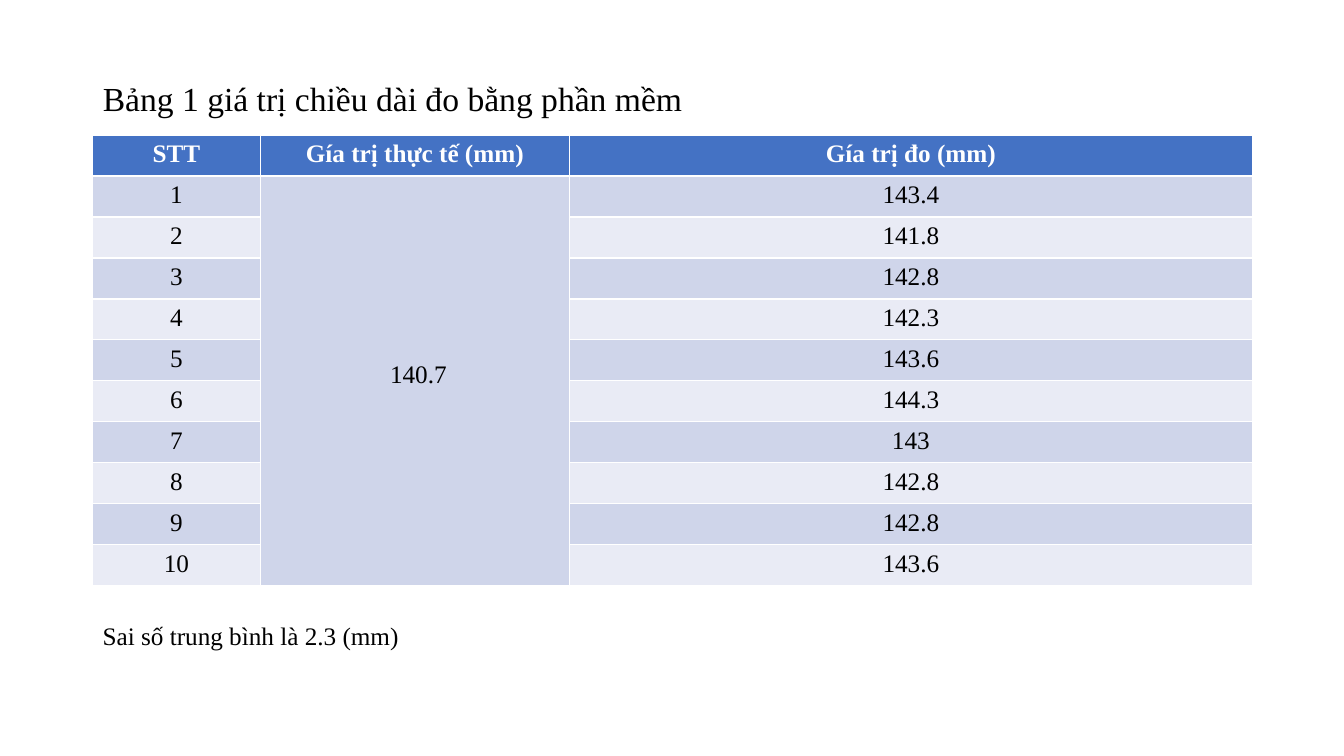
import pptx
import pptx.dml.color
import pptx.enum.text
import pptx.util

Inches = pptx.util.Inches
Pt = pptx.util.Pt
RGBColor = pptx.dml.color.RGBColor
ALIGN = pptx.enum.text.PP_ALIGN
ANCHOR = pptx.enum.text.MSO_ANCHOR

BLACK = RGBColor(0x00, 0x00, 0x00)
WHITE = RGBColor(0xFF, 0xFF, 0xFF)
HEADER_BLUE = RGBColor(0x44, 0x72, 0xC4)
BAND_DARK = RGBColor(0xCF, 0xD5, 0xEA)
BAND_LIGHT = RGBColor(0xE9, 0xEB, 0xF5)

LEFT, WIDTH = 0.92, 11.5
COLUMN_WIDTHS = [1.66, 3.07, 6.77]
HEADERS = ["STT", "Gía trị thực tế (mm)", "Gía trị đo (mm)"]
MEASURED = ["143.4", "141.8", "142.8", "142.3", "143.6",
            "144.3", "143", "142.8", "142.8", "143.6"]


class SlideBuilder:
    font_name = "Times New Roman"
    body_size = 18
    title_size = 24

    def __init__(self, slide):
        self.slide = slide

    def add_span(self, frame, text, size=body_size, color=BLACK, bold=False, align=ALIGN.LEFT):
        para = frame.paragraphs[0]
        para.alignment = align
        span = para.add_run()
        span.text = text
        span.font.name = self.font_name
        span.font.size = Pt(size)
        span.font.bold = bold
        span.font.color.rgb = color
        return para

    def title(self, text, left, top, width, height):
        box = self.slide.shapes.title
        box.left, box.top = Inches(left), Inches(top)
        box.width, box.height = Inches(width), Inches(height)
        frame = box.text_frame
        frame.word_wrap = True
        frame.vertical_anchor = ANCHOR.MIDDLE
        self.add_span(frame, text, self.title_size).line_spacing = 0.9

    def text(self, text, left, top, width, height):
        box = self.slide.shapes.add_textbox(
            Inches(left), Inches(top), Inches(width), Inches(height))
        box.text_frame.word_wrap = True
        self.add_span(box.text_frame, text)

    def cell(self, cell, text, fill, color=BLACK, bold=False):
        cell.fill.solid()
        cell.fill.fore_color.rgb = fill
        if text:
            self.add_span(cell.text_frame, text, color=color, bold=bold, align=ALIGN.CENTER)

    def table(self, headers, rows, widths, left, top, width, height):
        table = self.slide.shapes.add_table(
            len(rows) + 1, len(headers),
            Inches(left), Inches(top), Inches(width), Inches(height)).table
        for column, column_width in zip(table.columns, widths):
            column.width = Inches(column_width)
        for index, header in enumerate(headers):
            self.cell(table.cell(0, index), header, HEADER_BLUE, WHITE, True)
        for number, values in enumerate(rows, 1):
            fill = BAND_DARK if number % 2 else BAND_LIGHT
            for index, value in enumerate(values):
                self.cell(table.cell(number, index), value, fill)
        return table


deck = pptx.Presentation()
deck.slide_width, deck.slide_height = Inches(13.33), Inches(7.5)
page = SlideBuilder(deck.slides.add_slide(deck.slide_layouts[5]))

page.title("Bảng 1 giá trị chiều dài đo bằng phần mềm", LEFT, 0.67, WIDTH, 0.65)

measurements = [(str(number), "", value) for number, value in enumerate(MEASURED, 1)]
length_table = page.table(HEADERS, measurements, COLUMN_WIDTHS, LEFT, 1.34, WIDTH, 4.47)
length_table.cell(1, 1).merge(length_table.cell(len(MEASURED), 1))

page.text("Sai số trung bình là 2.3 (mm)", LEFT, 6.1, WIDTH, 0.4)
page.text("140.7", 3.77, 3.51, 2.07, 0.4)

deck.save("out.pptx")
